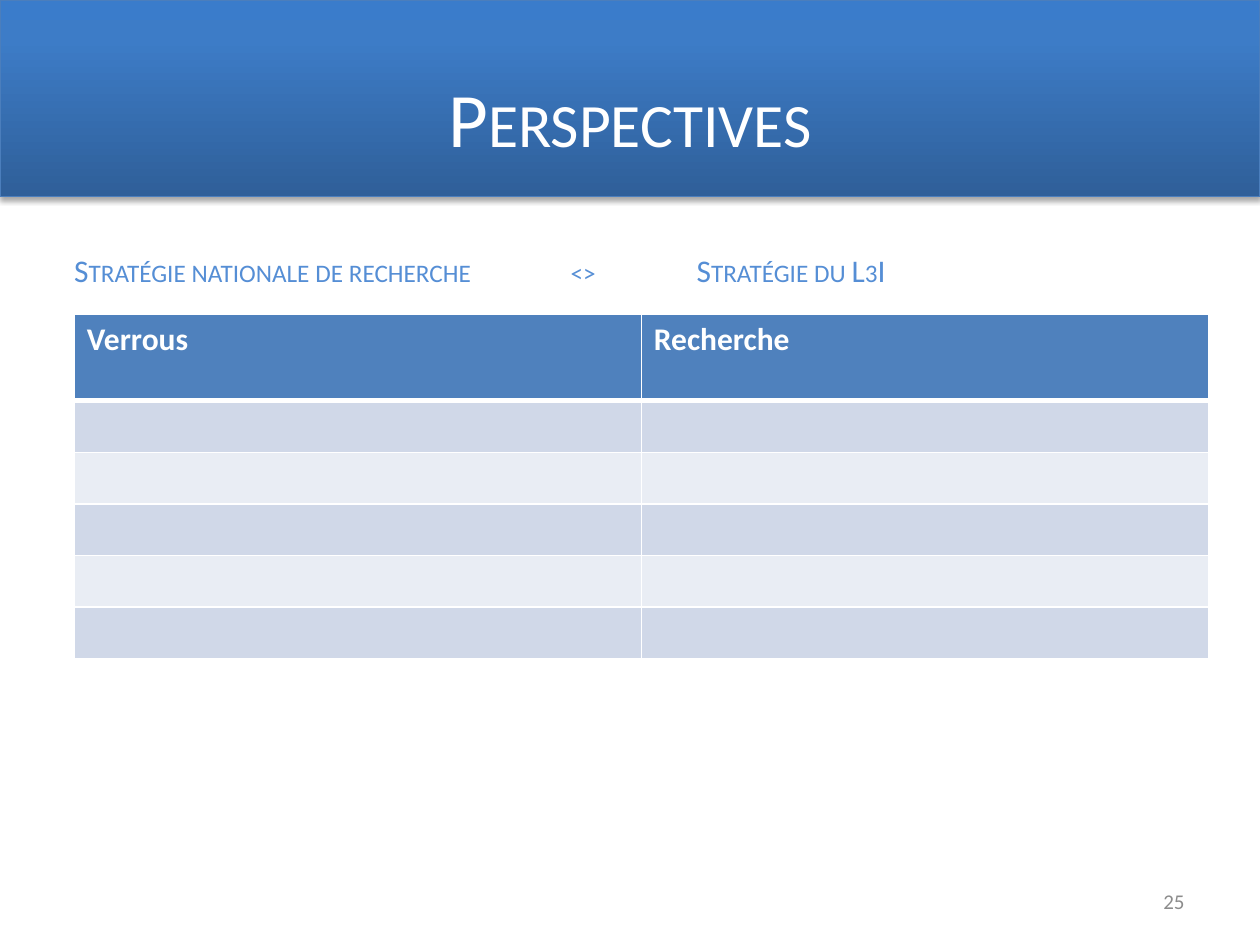
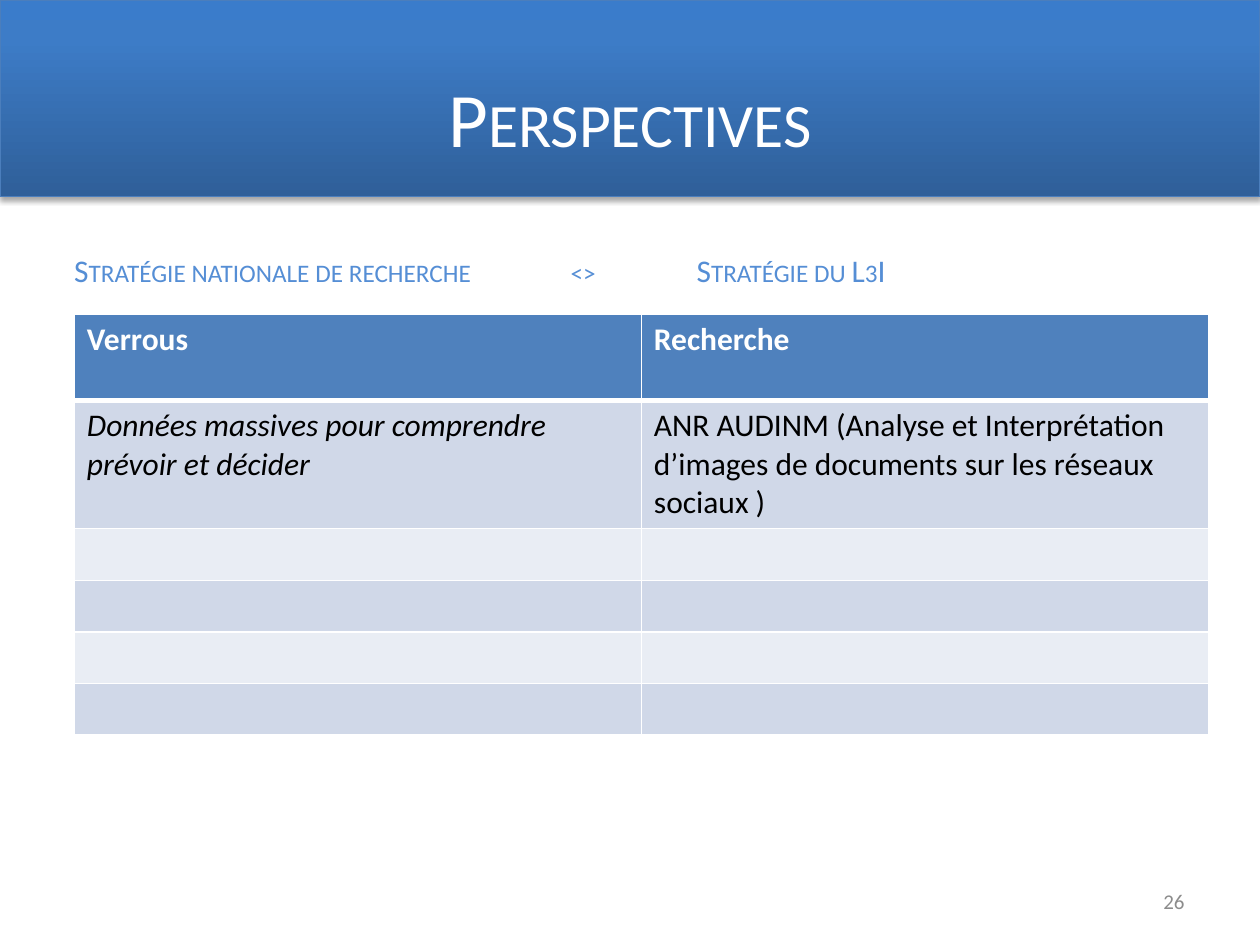
from copy import deepcopy
from dataclasses import dataclass

from lxml.etree import SubElement
from pptx import Presentation
from pptx.dml.color import RGBColor as RGB
from pptx.enum.shapes import MSO_SHAPE as SHAPE
from pptx.enum.text import MSO_ANCHOR as ANCHOR, PP_ALIGN as ALIGN
from pptx.oxml.ns import qn
from pptx.util import Inches, Pt


@dataclass(frozen=True)
class Theme:
    font: str = "Calibri"
    title_size: int = 44
    body_size: int = 18
    number_size: int = 12
    white: str = "FFFFFF"
    black: str = "000000"
    grey: str = "8C8C8C"
    subtitle: str = "558ED5"
    header: str = "4F81BD"
    stripes: tuple = ("D0D8E8", "E9EDF4")
    band_line: str = "4B7EBC"
    band_stops: tuple = ((0, "2F5F99"), (0.8, "3D7CC7"), (1, "3A7CCB"))


T = Theme()
FIRST_NUMBER = 25
BODY_ROWS = 5
HEADERS = ("Verrous", "Recherche")
SLIDES = (
    (),
    (("Données massives pour comprendre prévoir et décider",
      "ANR AUDINM (Analyse et Interprétation d’images de documents "
      "sur les réseaux sociaux )"),),
)


def box(x, y, w, h):
    return [Inches(v) for v in (x, y, w, h)]


def write(p, text, size, color, small_caps=False, **formats):
    r = p.add_run()
    r.text = text
    for name, value in {"name": T.font, "size": Pt(size), **formats}.items():
        setattr(r.font, name, value)
    r.font.color.rgb = RGB.from_string(color)
    if small_caps:
        r._r.get_or_add_rPr().set("cap", "small")


def add_band(s):
    sp = s.shapes.add_shape(SHAPE.RECTANGLE, *box(0, 0, 10, 1.56))
    sp.line.color.rgb = RGB.from_string(T.band_line)
    sp.line.width = Pt(0.75)
    sp.fill.gradient()
    sp.fill.gradient_angle = 90
    stops = sp._element.spPr.find(".//" + qn("a:gsLst"))
    stops.insert(1, deepcopy(stops[0]))
    for stop, (position, color) in zip(sp.fill.gradient_stops, T.band_stops):
        stop.position = position
        stop.color.rgb = RGB.from_string(color)
    sp.shadow.inherit = False
    effects = sp._element.spPr.find(qn("a:effectLst"))
    shadow = SubElement(effects, qn("a:outerShdw"), blurRad=str(Pt(3.1)),
                        dist=str(Pt(1.8)), dir="5400000", rotWithShape="0")
    color = SubElement(shadow, qn("a:srgbClr"), val=T.black)
    SubElement(color, qn("a:alpha"), val="35000")
    s.shapes._spTree.insert(2, sp._element)


def add_title(s, text):
    sp = s.shapes.title
    sp.left, sp.top, sp.width, sp.height = box(0.5, 0.3, 9, 1.25)
    sp.text_frame.vertical_anchor = ANCHOR.MIDDLE
    p = sp.text_frame.paragraphs[0]
    p.alignment = ALIGN.CENTER
    write(p, text, T.title_size, T.white, small_caps=True)


def add_text(s, place, text, size, color, align=ALIGN.LEFT, anchor=ANCHOR.TOP,
             tabs=(), small_caps=False):
    tf = s.shapes.add_textbox(*box(*place)).text_frame
    tf.word_wrap = True
    tf.vertical_anchor = anchor
    p = tf.paragraphs[0]
    p.alignment = align
    if tabs:
        tab_list = SubElement(p._p.get_or_add_pPr(), qn("a:tabLst"))
        for tab in tabs:
            SubElement(tab_list, qn("a:tab"), pos=str(Inches(tab)), algn="l")
    write(p, text, size, color, small_caps)


def set_borders(cell, **widths):
    tcPr = cell._tc.get_or_add_tcPr()
    for i, side in enumerate("LRTB"):
        line = tcPr.makeelement(qn(f"a:ln{side}"),
                                {"w": str(Pt(widths.get(side, 1)))})
        fill = SubElement(line, qn("a:solidFill"))
        SubElement(fill, qn("a:srgbClr"), val=T.white)
        tcPr.insert(i, line)


def fill_cell(cell, row, col, text):
    is_header = row == 0
    color = T.header if is_header else T.stripes[(row - 1) % 2]
    cell.fill.solid()
    cell.fill.fore_color.rgb = RGB.from_string(color)
    set_borders(cell, T=3 if row == 1 else 1, B=3 if is_header else 1)
    p = cell.text_frame.paragraphs[0]
    p.font.size = Pt(T.body_size)
    if text:
        write(p, text, T.body_size, T.white if is_header else T.black,
              bold=is_header, italic=not is_header and col == 0)


def add_strategy_table(s, entries):
    heights = [0.69] + [1.01] * len(entries)
    heights += [0.41] * (BODY_ROWS - len(entries))
    rows = [HEADERS, *entries]
    rows += [("", "")] * (len(heights) - len(rows))
    place = box(0.59, 2.49, 9, sum(heights))
    table = s.shapes.add_table(len(rows), len(HEADERS), *place).table
    for i, (height, texts) in enumerate(zip(heights, rows)):
        table.rows[i].height = Inches(height)
        for j, text in enumerate(texts):
            fill_cell(table.cell(i, j), i, j, text)


def add_perspectives(prs, number, entries):
    s = prs.slides.add_slide(prs.slide_layouts[5])
    add_band(s)
    add_title(s, "Perspectives")
    add_strategy_table(s, entries)
    add_text(s, (7.17, 6.95, 2.33, 0.4), str(number), T.number_size, T.grey,
             align=ALIGN.RIGHT, anchor=ANCHOR.MIDDLE)
    add_text(s, (0.49, 1.94, 6.75, 0.4),
             "Stratégie nationale de recherche\t<>\tStratégie du L3I",
             T.body_size, T.subtitle, tabs=(3.94, 4.94), small_caps=True)


def main():
    prs = Presentation()
    prs.slide_width, prs.slide_height = Inches(10), Inches(7.5)
    for number, entries in enumerate(SLIDES, FIRST_NUMBER):
        add_perspectives(prs, number, entries)
    prs.save("out.pptx")


if __name__ == "__main__":
    main()
